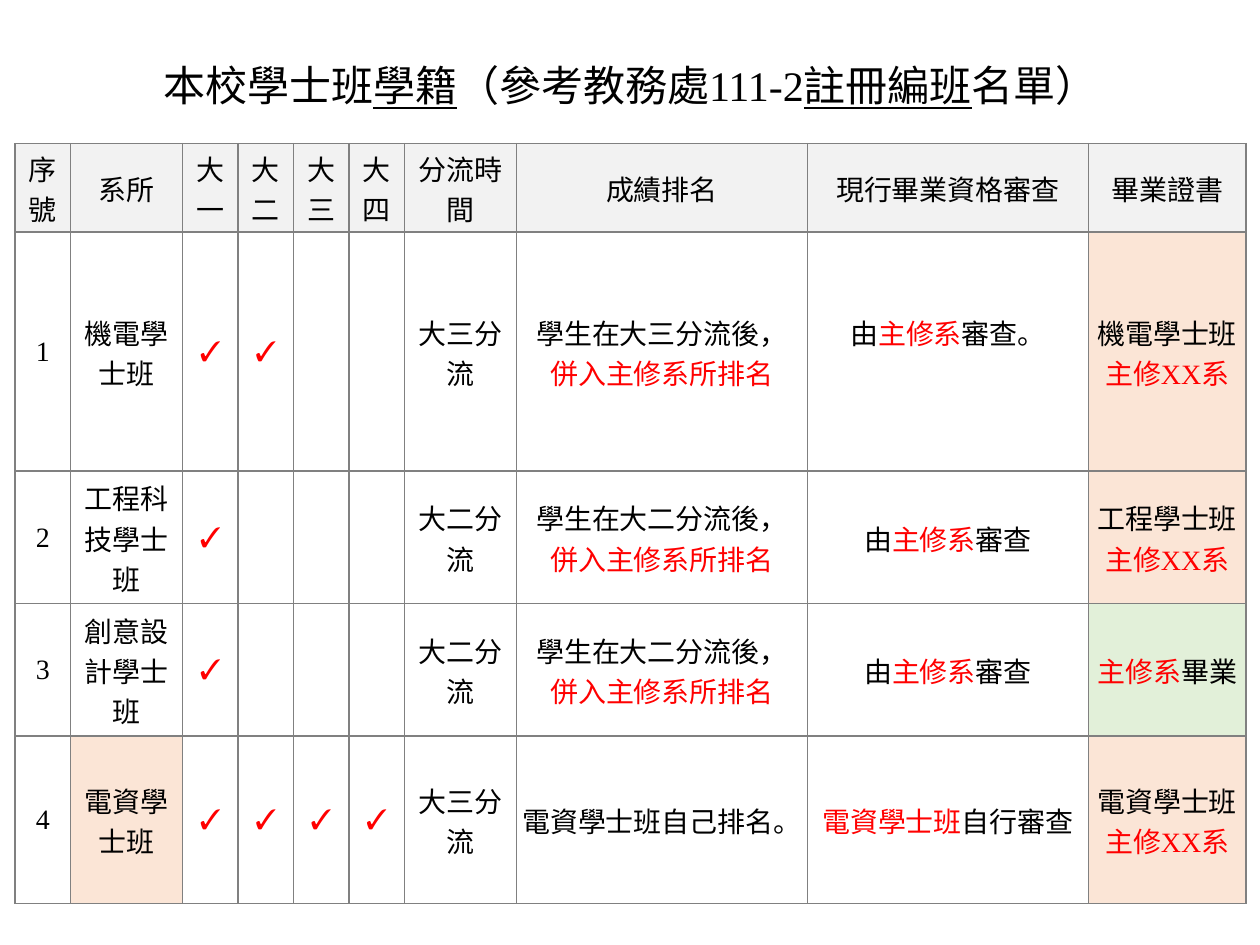
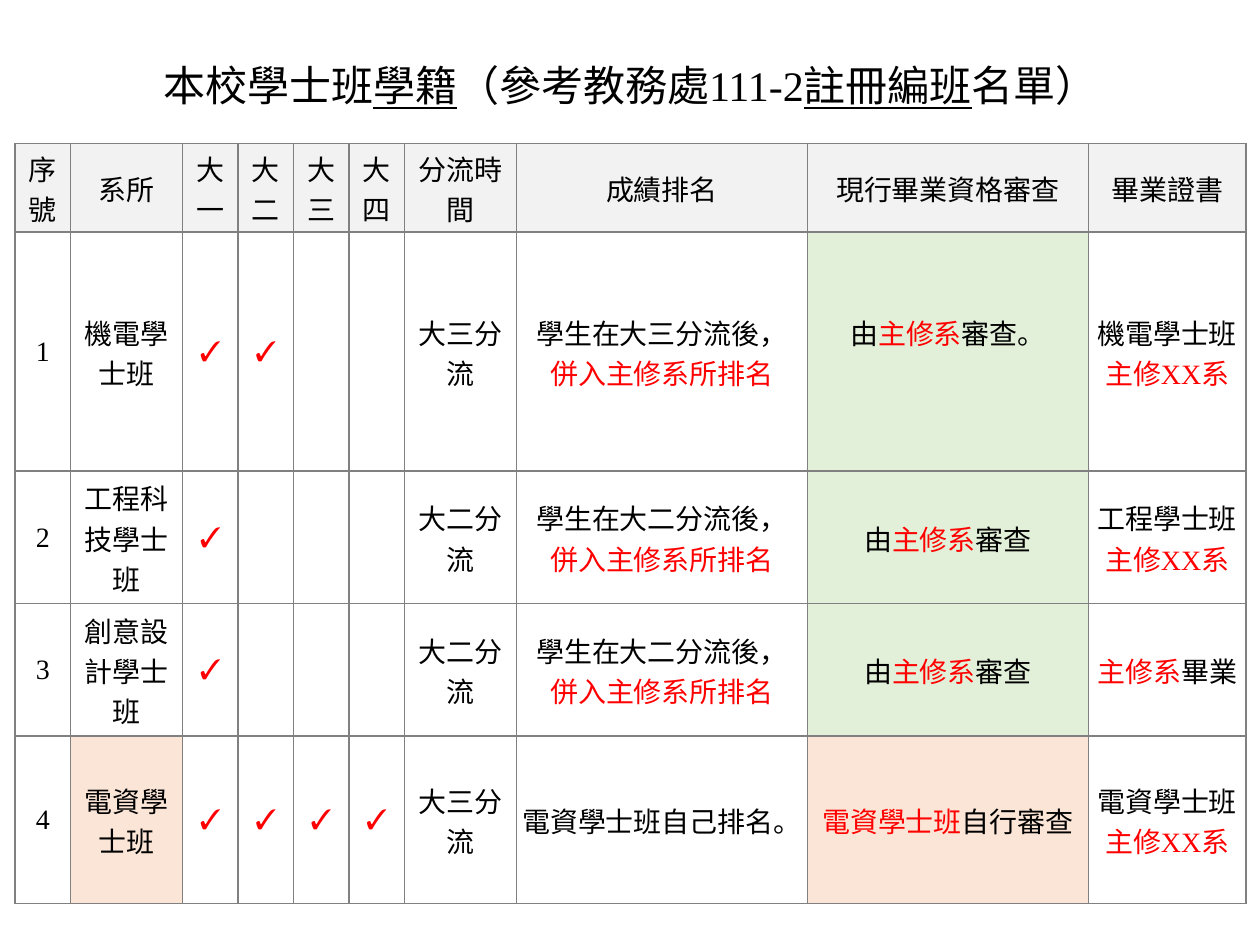
from lxml import etree
from pptx import Presentation
from pptx.dml.color import RGBColor
from pptx.enum.text import MSO_ANCHOR, PP_ALIGN
from pptx.oxml.ns import qn
from pptx.util import Inches, Pt

FONT = "Times New Roman"
BLACK, RED, WHITE, GRAY = "000000", "FF0000", "FFFFFF", "808080"
HEADER, ORANGE, GREEN = "F2F2F2", "FBE5D6", "E2F0D9"

BOX = (0.12, 0.17, 9.75, 7)
COL_WIDTHS = [0.44, 0.89, 0.44, 0.44, 0.44, 0.44, 0.89, 2.31, 2.23, 1.25]
ROW_HEIGHTS = [0.97, 0.7, 1.9, 1.05, 1.05, 1.33]
DEPARTMENT, REVIEW, DIPLOMA = 1, 8, 9

# Text between asterisks is emphasised: underlined in the title, red elsewhere.
TITLE = "本校學士班*學籍*（參考教務處111-2*註冊編班*名單）"
HEADINGS = ["序號", "系所", "大一", "大二", "大三", "大四",
            "分流時間", "成績排名", "現行畢業資格審查", "畢業證書"]
MERGED_RANK = "學生在{}分流後，\n*併入主修系所排名*"
# department, years spent in it, year of the split, ranking, review, diploma
PROGRAMS = [
    ("機電學士班", 2, "大三", MERGED_RANK, "由*主修系*審查。\v", "機電學士班\n*主修XX系*"),
    ("工程科技學士班", 1, "大二", MERGED_RANK, "由*主修系*審查", "工程學士班\n*主修XX系*"),
    ("創意設計學士班", 1, "大二", MERGED_RANK, "由*主修系*審查", "*主修系*畢業"),
    ("電資學士班", 4, "大三", "電資學士班自己排名。", "*電資學士班*自行審查",
     "電資學士班\n*主修XX系*"),
]


def rgb(color):
    return RGBColor.from_string(color)


def program_row(number, program):
    department, years, split, rank, review, diploma = program
    ticks = ["*✓*" if year < years else "" for year in range(4)]
    return [str(number), department, *ticks, split + "分流",
            rank.format(split), review, diploma]


def write(cell, text, size, underline=False):
    cell.vertical_anchor = MSO_ANCHOR.MIDDLE
    cell.margin_left = cell.margin_top = cell.margin_right = Inches(0.01)
    cell.margin_bottom = 0
    tf = cell.text_frame
    for i, line in enumerate(text.split("\n")):
        p = tf.add_paragraph() if i else tf.paragraphs[0]
        p.alignment = PP_ALIGN.CENTER
        for j, part in enumerate(line.split("*")):
            words = part.rstrip("\v")
            if words:
                r = p.add_run()
                r.text = words
                r.font.name, r.font.size = FONT, Pt(size)
                marked = j % 2 == 1
                r.font.color.rgb = rgb(RED if marked and not underline else BLACK)
                if marked and underline:
                    r.font.underline = True
            if part != words:
                p.add_line_break()
        etree.SubElement(p._p, qn("a:endParaRPr"), sz=str(size * 100))


def set_borders(cell, **colors):
    """Draw 1 pt sides in grey, or in the colour given for L, R, T or B."""
    tcPr = cell._tc.get_or_add_tcPr()
    for i, side in enumerate("LRTB"):
        ln = etree.Element(qn("a:ln" + side), w=str(Pt(1)))
        fill = etree.SubElement(ln, qn("a:solidFill"))
        etree.SubElement(fill, qn("a:srgbClr"), val=colors.get(side, GRAY))
        tcPr.insert(i, ln)


def style_cell(cell, fill=None, **borders):
    if fill:
        cell.fill.solid()
        cell.fill.fore_color.rgb = rgb(fill)
    else:
        cell.fill.background()
    set_borders(cell, **borders)


def add_program_table(slide, box, highlights):
    """Fill box with the table; highlights maps (program number, column) to a fill."""
    rows, cols = len(ROW_HEIGHTS), len(COL_WIDTHS)
    table = slide.shapes.add_table(rows, cols, *map(Inches, box)).table
    table.first_row = table.horz_banding = False
    for column, width in zip(table.columns, COL_WIDTHS):
        column.width = Inches(width)
    for row, height in zip(table.rows, ROW_HEIGHTS):
        row.height = Inches(height)

    title = table.cell(0, 0)
    title.merge(table.cell(0, cols - 1))
    write(title, TITLE, 24, underline=True)
    for c in range(cols):
        style_cell(table.cell(0, c), L=WHITE, R=WHITE, T=WHITE)

    body = [HEADINGS] + [program_row(n, p) for n, p in enumerate(PROGRAMS, 1)]
    for n, texts in enumerate(body):
        for c, text in enumerate(texts):
            cell = table.cell(n + 1, c)
            write(cell, text, 16)
            style_cell(cell, HEADER if n == 0 else highlights.get((n, c)))


def main():
    prs = Presentation()
    prs.slide_width, prs.slide_height = Inches(10), Inches(7.5)
    diploma_fills = {(1, DIPLOMA): ORANGE, (2, DIPLOMA): ORANGE,
                     (3, DIPLOMA): GREEN, (4, DIPLOMA): ORANGE}
    review_fills = {(1, REVIEW): GREEN, (2, REVIEW): GREEN,
                    (3, REVIEW): GREEN, (4, REVIEW): ORANGE}
    for fills in (diploma_fills, review_fills):
        slide = prs.slides.add_slide(prs.slide_layouts[6])
        add_program_table(slide, BOX, {(4, DEPARTMENT): ORANGE, **fills})
    prs.save("out.pptx")


if __name__ == "__main__":
    main()
